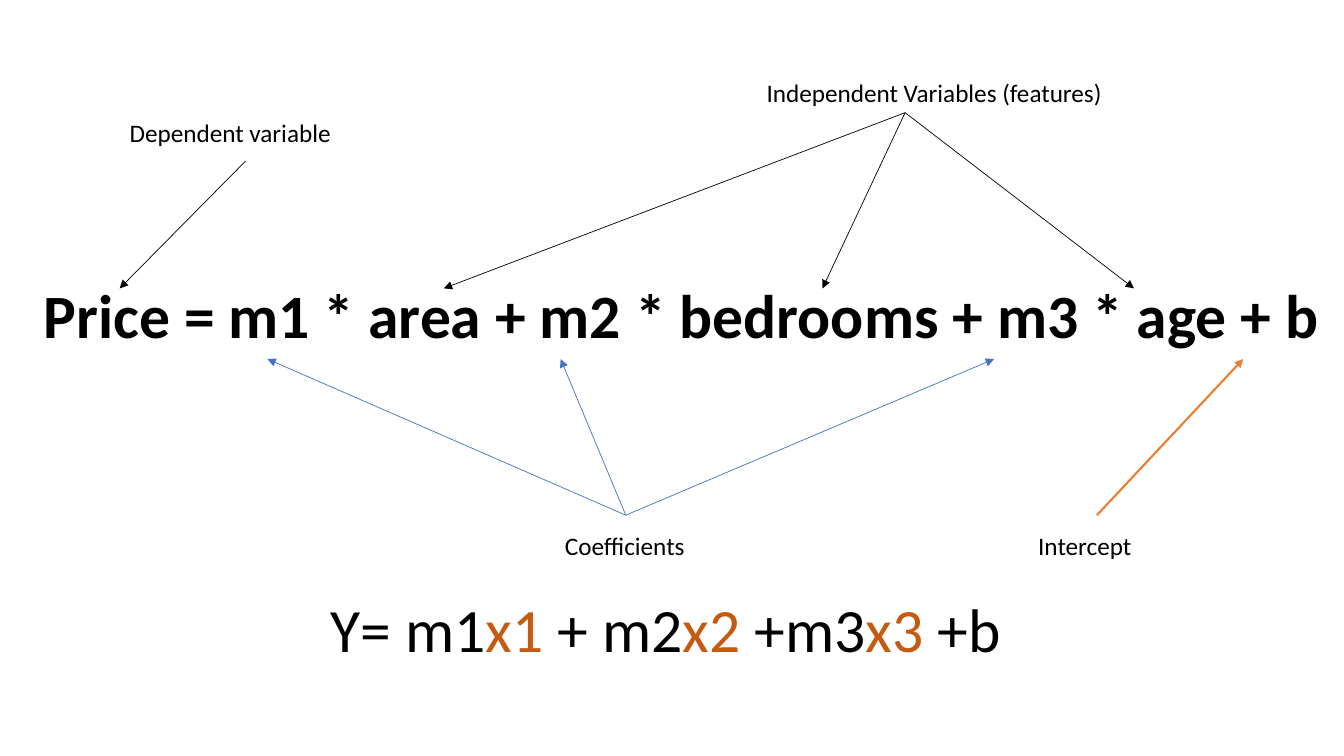
from lxml import etree
from pptx import Presentation
from pptx.dml.color import RGBColor
from pptx.enum.shapes import MSO_CONNECTOR
from pptx.enum.text import MSO_ANCHOR, MSO_AUTO_SIZE, PP_ALIGN
from pptx.oxml.ns import qn
from pptx.util import Pt

STRAIGHT = MSO_CONNECTOR.STRAIGHT
MIDDLE = MSO_ANCHOR.MIDDLE
NO_FIT, GROW = MSO_AUTO_SIZE.NONE, MSO_AUTO_SIZE.SHAPE_TO_FIT_TEXT
LEFT = PP_ALIGN.LEFT

BLACK, BLUE, ORANGE, RUST = "000000", "4472C4", "ED7D31", "C55A11"
EQUATION_BOX = (24, 170.5, 936, 114.5)
FORMULA_BOX = (229, 418.5, 527, 60.5)
ABOVE, BELOW = 35.5, 86

CALLOUTS = [
    {"text": "Dependent variable", "box": (85.5, 80.5, 160, 29), "wrap": False,
     "start": (90, 34.5), "targets": [61.5], "level": ABOVE, "line": (BLACK, 0.5)},
    {"text": "Independent Variables (features)", "box": (540.5, 52, 257, 29), "wrap": False,
     "start": (106, 28.5), "targets": [293, 563.5, 786], "level": ABOVE, "line": (BLACK, 0.5)},
    {"text": "Coefficients", "box": (396.5, 375, 124, 29), "wrap": True,
     "start": (50.5, -7), "targets": [376.5, 167, 686], "level": BELOW, "line": (BLUE, 0.5)},
    {"text": "Intercept", "box": (734.5, 375, 105, 29), "wrap": True,
     "start": (49, -7), "targets": [864], "level": BELOW, "line": (ORANGE, 1.5)},
]
FORMULA = [("Y= m1", BLACK), ("x1", RUST), (" + m2", BLACK), ("x2", RUST),
           (" +m3", BLACK), ("x3", RUST), (" +b", BLACK)]


def rgb(value):
    """Turn a hex string into a colour."""
    return RGBColor.from_string(value)


def set_all(obj, formats):
    """Set each attribute of an object from a dict."""
    for name, value in formats.items():
        setattr(obj, name, value)


def add_run(p, text, size, color=BLACK, bold=False):
    """Append a formatted run to a paragraph."""
    r = p.add_run()
    r.text = text
    set_all(r.font, {"name": "Calibri", "size": Pt(size), "bold": bold})
    r.font.color.rgb = rgb(color)


def add_text(s, box, runs, size, wrap=True):
    """Add a text box that holds one line of coloured runs."""
    tf = s.shapes.add_textbox(*map(Pt, box)).text_frame
    set_all(tf, {"word_wrap": wrap, "auto_size": GROW})
    for text, color in runs:
        add_run(tf.paragraphs[0], text, size, color)


def add_arrow(s, start, end, color, width):
    """Draw a straight arrow that points to its end."""
    cx = s.shapes.add_connector(STRAIGHT, *map(Pt, start + end))
    cx.line.width = Pt(width)
    cx.line.color.rgb = rgb(color)
    etree.SubElement(cx.line._get_or_add_ln(), qn("a:tailEnd"), type="triangle")
    etree.SubElement(cx._element.spPr, qn("a:effectLst"))


def add_equation(s, box):
    """Place the regression equation in the title."""
    sp = s.shapes.title
    set_all(sp, dict(zip(("left", "top", "width", "height"), map(Pt, box))))
    tf = sp.text_frame
    set_all(tf, {"word_wrap": True, "auto_size": NO_FIT, "vertical_anchor": MIDDLE})
    p = tf.paragraphs[0]
    set_all(p, {"alignment": LEFT, "line_spacing": 0.9})
    add_run(p, "Price = m1 * area + m2 * bedrooms + m3 * age + b", 44, bold=True)


def add_callout(s, equation_box, text, box, wrap, start, targets, level, line):
    """Label terms of the equation with arrows from a caption."""
    left, top = box[:2]
    eq_left, eq_top = equation_box[:2]
    origin = (left + start[0], top + start[1])
    for target in targets:
        add_arrow(s, origin, (eq_left + target, eq_top + level), *line)
    add_text(s, box, [(text, BLACK)], 18, wrap)


def main():
    """Build and save the slide."""
    prs = Presentation()
    set_all(prs, {"slide_width": Pt(960), "slide_height": Pt(540)})
    s = prs.slides.add_slide(prs.slide_layouts[5])
    add_equation(s, EQUATION_BOX)
    for callout in CALLOUTS:
        add_callout(s, EQUATION_BOX, **callout)
    add_text(s, FORMULA_BOX, FORMULA, 44)
    prs.save("out.pptx")


if __name__ == "__main__":
    main()
